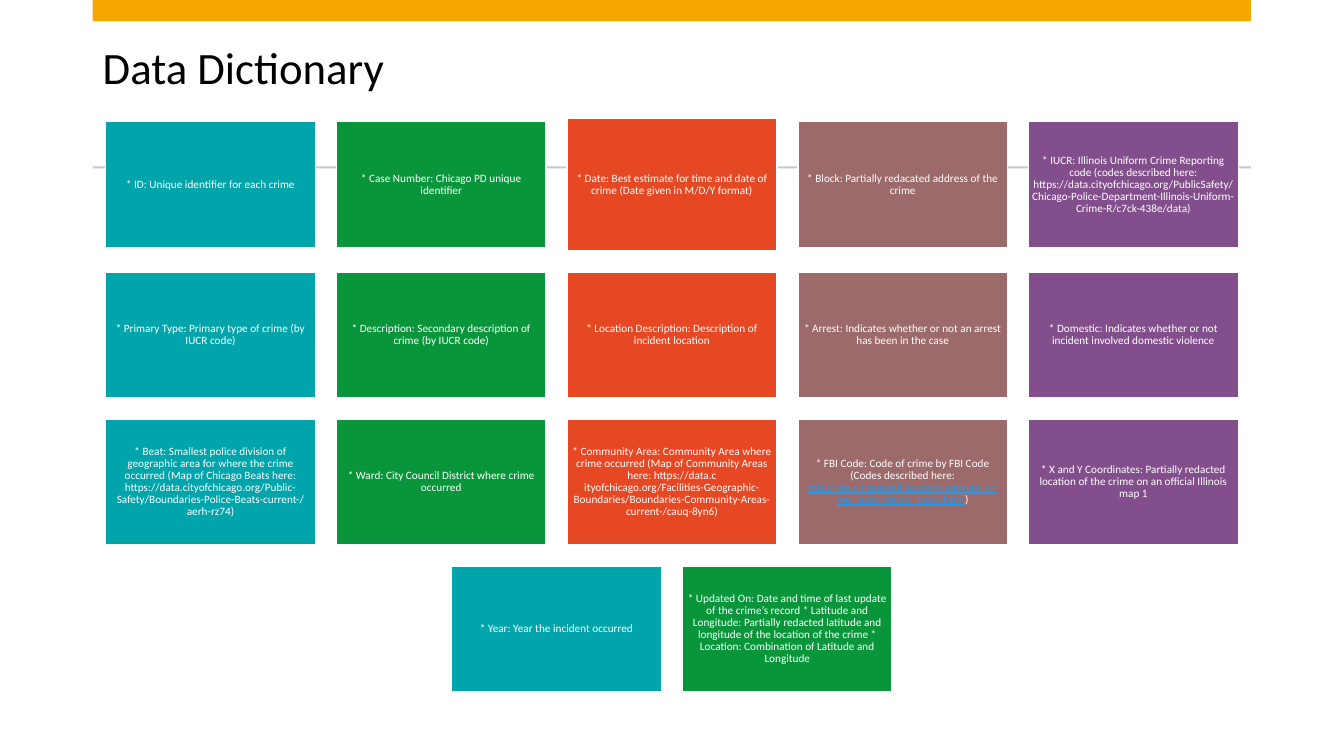
from pptx import Presentation
from pptx.dml.color import RGBColor
from pptx.enum.shapes import MSO_SHAPE
from pptx.enum.text import MSO_ANCHOR, MSO_AUTO_SIZE, PP_ALIGN
from pptx.util import Pt

TITLE = "Data Dictionary"
FONT = "Calibri"
WHITE, BLACK, LINK = "FFFFFF", "000000", "2998E3"
COLUMN_COLORS = ["00A5AB", "09963B", "E64823", "9C6A6A", "824F8C"]
BANDS = [(0, 15.1, "F5A700"), (118.8, 1.6, "C9C9C9")]
FIELD_ROWS = [
    [
        "* ID: Unique identifier for each crime",
        "* Case Number: Chicago PD unique identifier",
        "* Date: Best estimate for time and date of crime (Date given in M/D/Y format)",
        "* Block: Partially redacated address of the crime",
        "* IUCR: Illinois Uniform Crime Reporting code (codes described here: "
        "https://data.cityofchicago.org/PublicSafety/"
        "Chicago-Police-Department-Illinois-Uniform-Crime-R/c7ck-438e/data)",
    ],
    [
        "* Primary Type: Primary type of crime (by IUCR code)",
        "* Description: Secondary description of crime (by IUCR code)",
        "* Location Description: Description of incident location",
        "* Arrest: Indicates whether or not an arrest has been in the case",
        "* Domestic: Indicates whether or not incident involved domestic violence",
    ],
    [
        "* Beat: Smallest police division of geographic area for where the crime occurred "
        "(Map of Chicago Beats here: https://data.cityofchicago.org/"
        "Public-Safety/Boundaries-Police-Beats-current-/aerh-rz74)",
        "* Ward: City Council District where crime occurred",
        "* Community Area: Community Area where crime occurred (Map of Community Areas here: "
        "https://data.c ityofchicago.org/Facilities-Geographic-Boundaries/"
        "Boundaries-Community-Areas-current-/cauq-8yn6)",
        "* FBI Code: Code of crime by FBI Code (Codes described here: ",
        "* X and Y Coordinates: Partially redacted location of the crime "
        "on an official Illinois map 1",
    ],
    [
        "* Year: Year the incident occurred",
        "* Updated On: Date and time of last update of the crime’s record "
        "* Latitude and Longitude: Partially redacted latitude and longitude of the location "
        "of the crime * Location: Combination of Latitude and Longitude",
    ],
]
LINKED_FIELD = "* FBI Code"
LINK_TAIL = [
    ("http://gis.chicagopolice.org/clearmap_cri me_sums/crime_types.html", LINK, True),
    (")", WHITE, False),
]
TALL_FIELD = "* Date"

SLIDE_WIDTH, SLIDE_HEIGHT = 960, 540
CONTENT_LEFT, CONTENT_WIDTH = 66.2, 827.3
BOX_WIDTH, BOX_HEIGHT, TALL_HEIGHT = 149.8, 90, 95
GAP = 15
GRID_TOP = 84.3


def color(hex_code):
    return RGBColor.from_string(hex_code)


def format_run(run, size, hex_code):
    run.font.name = FONT
    run.font.size = Pt(size)
    run.font.color.rgb = color(hex_code)


def add_box(slide, left, top, width, height, fill):
    box = slide.shapes.add_shape(
        MSO_SHAPE.RECTANGLE, Pt(left), Pt(top), Pt(width), Pt(height))
    box.shadow.inherit = False
    box.fill.solid()
    box.fill.fore_color.rgb = color(fill)
    box.line.fill.background()
    return box


def add_field(slide, field, left, top, height, fill):
    box = add_box(slide, left, top, BOX_WIDTH, height, fill)
    box.line.color.rgb = color(WHITE)
    box.line.width = Pt(1)
    frame = box.text_frame
    frame.text = field
    frame.word_wrap = True
    frame.vertical_anchor = MSO_ANCHOR.MIDDLE
    frame.margin_left = frame.margin_right = Pt(2.4)
    frame.margin_top = frame.margin_bottom = Pt(2.4)
    paragraph = frame.paragraphs[0]
    paragraph.alignment = PP_ALIGN.CENTER
    paragraph.line_spacing = 0.9
    paragraph.space_after = Pt(2.8)
    format_run(paragraph.runs[0], 8, WHITE)
    if field.startswith(LINKED_FIELD):
        for words, hex_code, underline in LINK_TAIL:
            run = paragraph.add_run()
            run.text = words
            format_run(run, 8, hex_code)
            run.font.underline = underline


def add_title(slide):
    title = slide.shapes.title
    title.left, title.top = Pt(CONTENT_LEFT), Pt(26.6)
    title.width, title.height = Pt(CONTENT_WIDTH), Pt(46.8)
    frame = title.text_frame
    frame.text = TITLE
    frame.word_wrap = True
    frame.auto_size = MSO_AUTO_SIZE.NONE
    frame.vertical_anchor = MSO_ANCHOR.MIDDLE
    paragraph = frame.paragraphs[0]
    paragraph.alignment = PP_ALIGN.LEFT
    paragraph.line_spacing = 0.9
    format_run(paragraph.runs[0], 32, BLACK)


def add_grid(slide):
    top = GRID_TOP
    for fields in FIELD_ROWS:
        heights = [TALL_HEIGHT if field.startswith(TALL_FIELD) else BOX_HEIGHT
                   for field in fields]
        row_height = max(heights)
        row_width = len(fields) * (BOX_WIDTH + GAP) - GAP
        left = (SLIDE_WIDTH - row_width) / 2
        for field, height, fill in zip(fields, heights, COLUMN_COLORS):
            add_field(slide, field, left, top + (row_height - height) / 2, height, fill)
            left += BOX_WIDTH + GAP
        top += row_height + GAP


def main():
    deck = Presentation()
    deck.slide_width, deck.slide_height = Pt(SLIDE_WIDTH), Pt(SLIDE_HEIGHT)
    slide = deck.slides.add_slide(deck.slide_layouts[5])
    slide.background.fill.solid()
    slide.background.fill.fore_color.rgb = color(WHITE)
    add_title(slide)
    for top, height, fill in BANDS:
        add_box(slide, CONTENT_LEFT, top, CONTENT_WIDTH, height, fill)
    add_grid(slide)
    deck.save("out.pptx")


if __name__ == "__main__":
    main()
